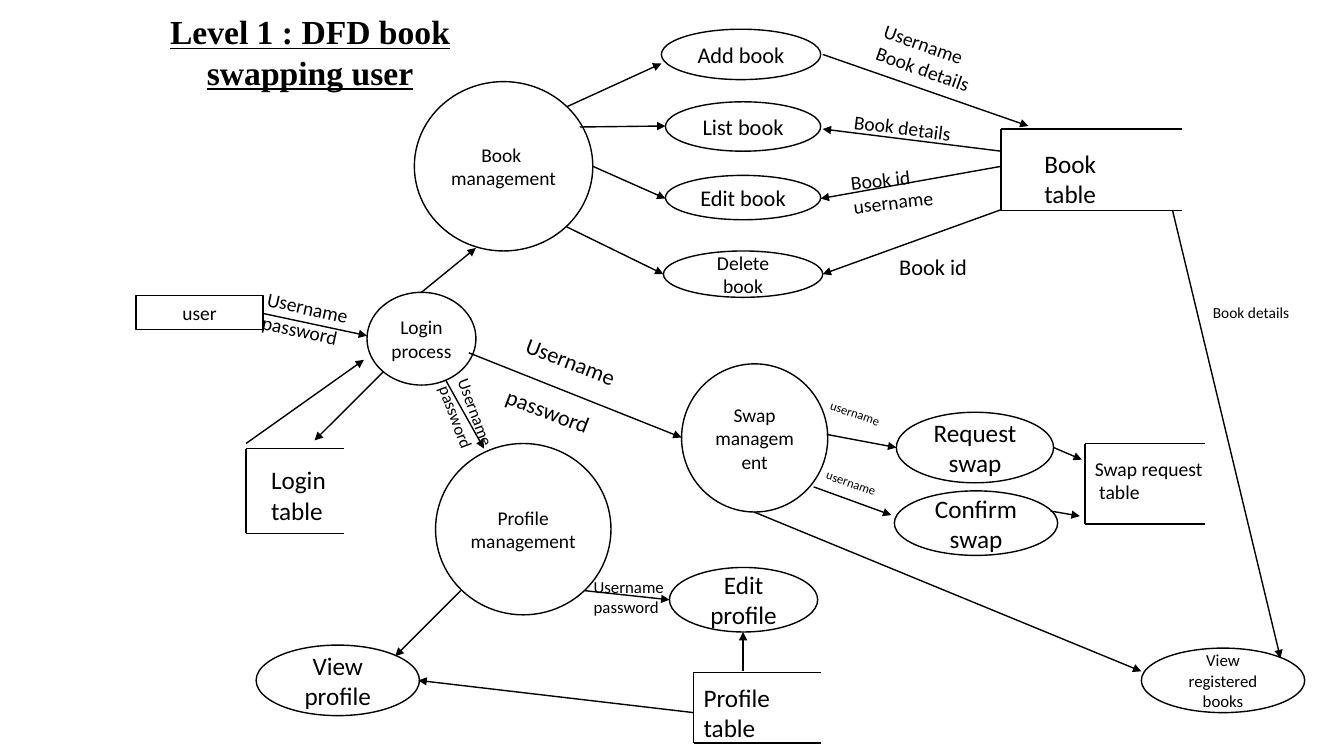
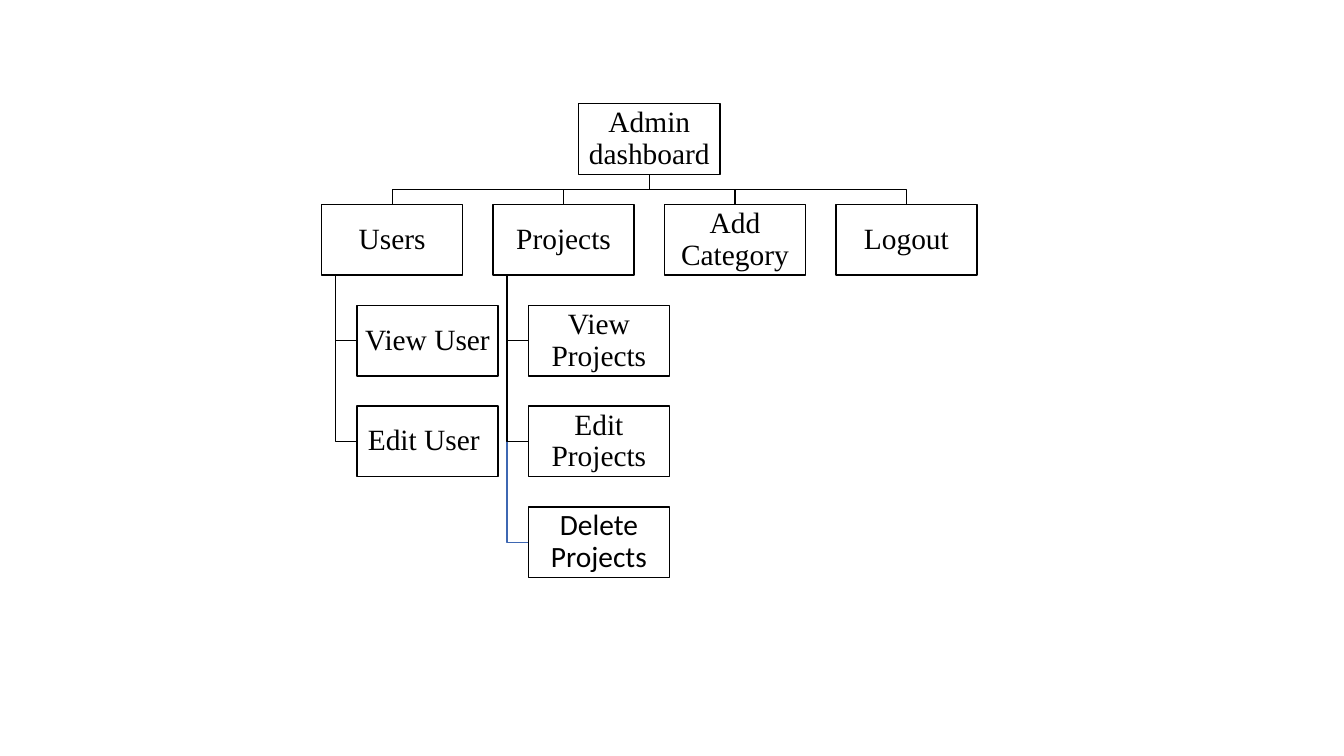
from lxml.etree import SubElement
from pptx import Presentation
from pptx.dml.color import RGBColor
from pptx.enum.shapes import MSO_CONNECTOR as Connector, MSO_SHAPE as Shape
from pptx.enum.text import MSO_ANCHOR as Anchor, MSO_AUTO_SIZE as AutoSize, PP_ALIGN as Align
from pptx.oxml.ns import qn
from pptx.util import Inches, Pt

BLACK = RGBColor(0, 0, 0)
WHITE = RGBColor(255, 255, 255)
BLUE = RGBColor(0x3E, 0x67, 0xB2)
SANS, SERIF = "Calibri", "Times New Roman"
TITLE_ONLY, BLANK = 5, 6
LINE_WIDTH = Pt(1)

# Data flow diagram: places are (left, top, width, height) in inches
TITLE = "Level 1 : DFD book swapping user"
TITLE_PLACE = (0.93, 0.06, 4.29, 0.91)

USER = ("user", (1.35, 2.93, 1.26, 0.34))
PROCESSES = [
    ("Login\nprocess", (3.64, 2.9, 1.08, 0.92)),
    ("Book \nmanagement", (4.11, 0.81, 1.77, 1.68)),
    ("Swap\nmanagement", (6.76, 3.61, 1.45, 1.47)),
    ("Profile\nmanagement", (4.32, 4.4, 1.74, 1.7)),
]
ACTIONS = [  # text, size, place
    ("Add book", 16, (6.56, 0.29, 1.58, 0.5)),
    ("List book", 16, (6.6, 1.01, 1.54, 0.49)),
    ("Edit book", 16, (6.6, 1.74, 1.54, 0.44)),
    ("Delete book", 14, (6.58, 2.49, 1.58, 0.46)),
    ("Request swap", 18, (8.89, 4.09, 1.56, 0.7)),
    ("Confirm swap", 18, (8.87, 4.87, 1.62, 0.64)),
    ("Edit profile", 18, (6.64, 5.63, 1.47, 0.64)),
    ("View profile", 18, (2.54, 6.4, 1.62, 0.7)),
    ("View registered books", 12, (11.32, 6.43, 1.62, 0.64)),
]
STORES = [  # left, top, right, bottom of the open-sided boxes
    (2.44, 4.45, 3.41, 5.29),
    (9.93, 1.28, 11.72, 2.09),
    (6.88, 6.67, 8.14, 7.37),
    (10.76, 4.4, 11.95, 5.2),
]
FLOWS = [  # from x, y, to x, y
    (2.61, 3.11, 3.64, 3.33), (4.18, 2.9, 4.72, 2.46),
    (5.62, 1.06, 6.56, 0.63), (5.75, 1.26, 6.6, 1.25),
    (5.88, 1.65, 6.6, 1.97), (5.62, 2.25, 6.58, 2.72),
    (8.16, 0.54, 10.2, 1.25), (9.93, 1.5, 8.16, 1.28),
    (9.93, 1.65, 8.14, 1.97), (9.93, 2.08, 8.16, 2.72),
    (8.07, 4.83, 8.84, 5.11), (8.2, 4.31, 8.89, 4.44),
    (11.63, 2.09, 12.7, 6.53), (7.37, 6.66, 7.37, 6.27),
    (5.8, 5.86, 6.64, 5.95), (4.57, 5.86, 3.92, 6.51),
    (6.88, 7.07, 4.15, 6.75), (4.65, 3.5, 6.76, 4.34),
    (4.42, 3.77, 4.8, 4.45), (3.8, 3.69, 3.12, 4.37),
    (2.44, 4.4, 3.61, 3.57), (10.45, 4.44, 10.73, 4.56),
    (10.42, 5.07, 10.71, 5.12), (7.48, 5.08, 11.32, 6.66),
]
LABELS = [  # text, size, place, rotation, space between lines in points
    ("Login\ntable", 18, (2.59, 4.56, 1.03, 0.71), 0, 0),
    ("Book\ntable", 18, (10.26, 1.42, 2.07, 0.71), 0, 0),
    ("Profile\ntable", 18, (6.88, 6.72, 2.72, 0.71), 0, 0),
    ("Swap request\n table", 14, (10.76, 4.48, 2.15, 0.88), 0, 0),
    ("username", 9, (8.12, 4.03, 1.05, 0.25), 19.2, 0),
    ("username", 9, (8.08, 4.72, 1.05, 0.25), 19.2, 0),
    ("Username\nBook details", 14, (8.6, 0.36, 1.6, 0.57), 19.4, 0),
    ("Book details", 14, (8.37, 1.1, 1.21, 0.34), 7.1, 0),
    ("Book id\nusername", 14, (8.35, 1.58, 1.4, 0.57), 353.4, 0),
    ("Username\npassword", 14, (2.52, 2.9, 1.19, 0.57), 12.4, 0),
    ("Username\npassword", 16, (5, 3.39, 1.17, 0.91), 21.1, 19.5),
    ("Username\npassword", 12, (4.13, 3.95, 1.05, 0.5), 69.5, 0),
    ("Username\npassword", 12, (5.79, 5.67, 1.54, 0.5), 0, 0),
    ("Book id", 16, (8.82, 2.46, 1.13, 0.37), 0, 0),
    ("Book details", 11, (11.93, 2.96, 2.31, 0.59), 0, 0),
]

# Admin menu tree
ROOT = "Admin dashboard"
MENU = [
    ("Users", ["View User", "Edit User "]),
    ("Projects", ["View Projects", "Edit Projects", "Delete Projects"]),
    ("Add Category", []),
    ("Logout", []),
]
ODD_ITEM = "Delete Projects"  # set in the sans font, with a blue link
TREE_LEFT, TREE_TOP = 3.19, 1.03
BOX_WIDTH, BOX_HEIGHT = 1.4, 0.7
COLUMN_STEP, ROW_STEP = 1.7, 1.0
ITEM_INDENT, TRUNK_INDENT = 0.35, 0.14


def inches(values):
    return [Inches(value) for value in values]


def write(frame, text, size, font=SANS, align=Align.CENTER, anchor=Anchor.MIDDLE,
          margins=(0.1, 0.05), gap=0, spacing=None, bold=None, underline=None):
    frame.word_wrap = True
    frame.vertical_anchor = anchor
    frame.margin_left = frame.margin_right = Inches(margins[0])
    frame.margin_top = frame.margin_bottom = Inches(margins[1])
    for index, line in enumerate(text.split("\n")):
        para = frame.add_paragraph() if index else frame.paragraphs[0]
        para.alignment = align
        if index and gap:
            para.space_before = Pt(gap)
        if spacing:
            para.line_spacing = spacing
        span = para.add_run()
        span.text = line
        span.font.name, span.font.size = font, Pt(size)
        span.font.bold, span.font.underline = bold, underline
        span.font.color.rgb = BLACK


def add_node(page, kind, place, text, size, **text_format):
    box = page.shapes.add_shape(kind, *inches(place))
    box.shadow.inherit = False
    box.fill.solid()
    box.fill.fore_color.rgb = WHITE
    box.line.color.rgb = BLACK
    box.line.width = LINE_WIDTH
    write(box.text_frame, text, size, **text_format)


def add_line(page, ends, arrow=False):
    line = page.shapes.add_connector(Connector.STRAIGHT, *inches(ends))
    line.line.color.rgb = BLACK
    line.line.width = LINE_WIDTH
    properties = line._element.spPr
    if arrow:
        SubElement(properties.find(qn("a:ln")), qn("a:tailEnd"), type="triangle")
    SubElement(properties, qn("a:effectLst"))


def add_store(page, left, top, right, bottom):
    """Draw a data store: a box without its right side."""
    add_line(page, (left, top, right, top))
    add_line(page, (left, top, left, bottom))
    add_line(page, (left, bottom, right, bottom))


def add_label(page, text, size, place, rotation, gap):
    box = page.shapes.add_textbox(*inches(place))
    box.rotation = rotation
    write(box.text_frame, text, size, align=Align.LEFT, anchor=Anchor.TOP, gap=gap)
    box.text_frame.auto_size = AutoSize.SHAPE_TO_FIT_TEXT


def add_link(page, points, color=BLACK):
    """Draw an open line with corners through the points."""
    start, *rest = [inches(point) for point in points]
    builder = page.shapes.build_freeform(*start)
    builder.add_line_segments(rest, close=False)
    link = builder.convert_to_shape()
    link.shadow.inherit = False
    link.fill.background()
    link.line.color.rgb = color
    link.line.width = LINE_WIDTH


def build_flow_page(deck):
    page = deck.slides.add_slide(deck.slide_layouts[TITLE_ONLY])
    title = page.shapes.title
    title.left, title.top, title.width, title.height = inches(TITLE_PLACE)
    write(title.text_frame, TITLE, 24, font=SERIF, anchor=Anchor.TOP,
          bold=True, underline=True)
    title.text_frame.auto_size = AutoSize.NONE

    small = dict(size=13.9, margins=(0.08, 0.04))
    add_node(page, Shape.RECTANGLE, USER[1], USER[0], **small)
    for text, place in PROCESSES:
        add_node(page, Shape.OVAL, place, text, **small)
    for text, size, place in ACTIONS:
        add_node(page, Shape.OVAL, place, text, size)
    for store in STORES:
        add_store(page, *store)
    for flow in FLOWS:
        add_line(page, flow, arrow=True)
    for label in LABELS:
        add_label(page, *label)


def build_menu_page(deck):
    page = deck.slides.add_slide(deck.slide_layouts[BLANK])
    root_left = TREE_LEFT + COLUMN_STEP * (len(MENU) - 1) / 2
    root_center, root_bottom = root_left + BOX_WIDTH / 2, TREE_TOP + BOX_HEIGHT
    menu_top = TREE_TOP + ROW_STEP
    fork = (root_bottom + menu_top) / 2
    boxes = [(ROOT, root_left, TREE_TOP)]

    for column, (heading, items) in enumerate(MENU):
        left = TREE_LEFT + column * COLUMN_STEP
        center, trunk = left + BOX_WIDTH / 2, left + TRUNK_INDENT
        boxes.append((heading, left, menu_top))
        add_link(page, [(root_center, root_bottom), (root_center, fork),
                        (center, fork), (center, menu_top)])
        # Longest link first, so that the shorter ones lie over it
        for row, item in reversed(list(enumerate(items, start=1))):
            item_left, item_top = left + ITEM_INDENT, menu_top + row * ROW_STEP
            middle = item_top + BOX_HEIGHT / 2
            boxes.append((item, item_left, item_top))
            add_link(page, [(trunk, menu_top + BOX_HEIGHT), (trunk, middle),
                            (item_left, middle)],
                     color=BLUE if item == ODD_ITEM else BLACK)

    for text, left, top in boxes:
        add_node(page, Shape.RECTANGLE, (left, top, BOX_WIDTH, BOX_HEIGHT), text, 21,
                 font=SANS if text == ODD_ITEM else SERIF,
                 margins=(0.01, 0.01), spacing=0.9)


def main():
    deck = Presentation()
    deck.slide_width, deck.slide_height = Inches(13.33), Inches(7.5)
    build_flow_page(deck)
    build_menu_page(deck)
    deck.save("out.pptx")


if __name__ == "__main__":
    main()
